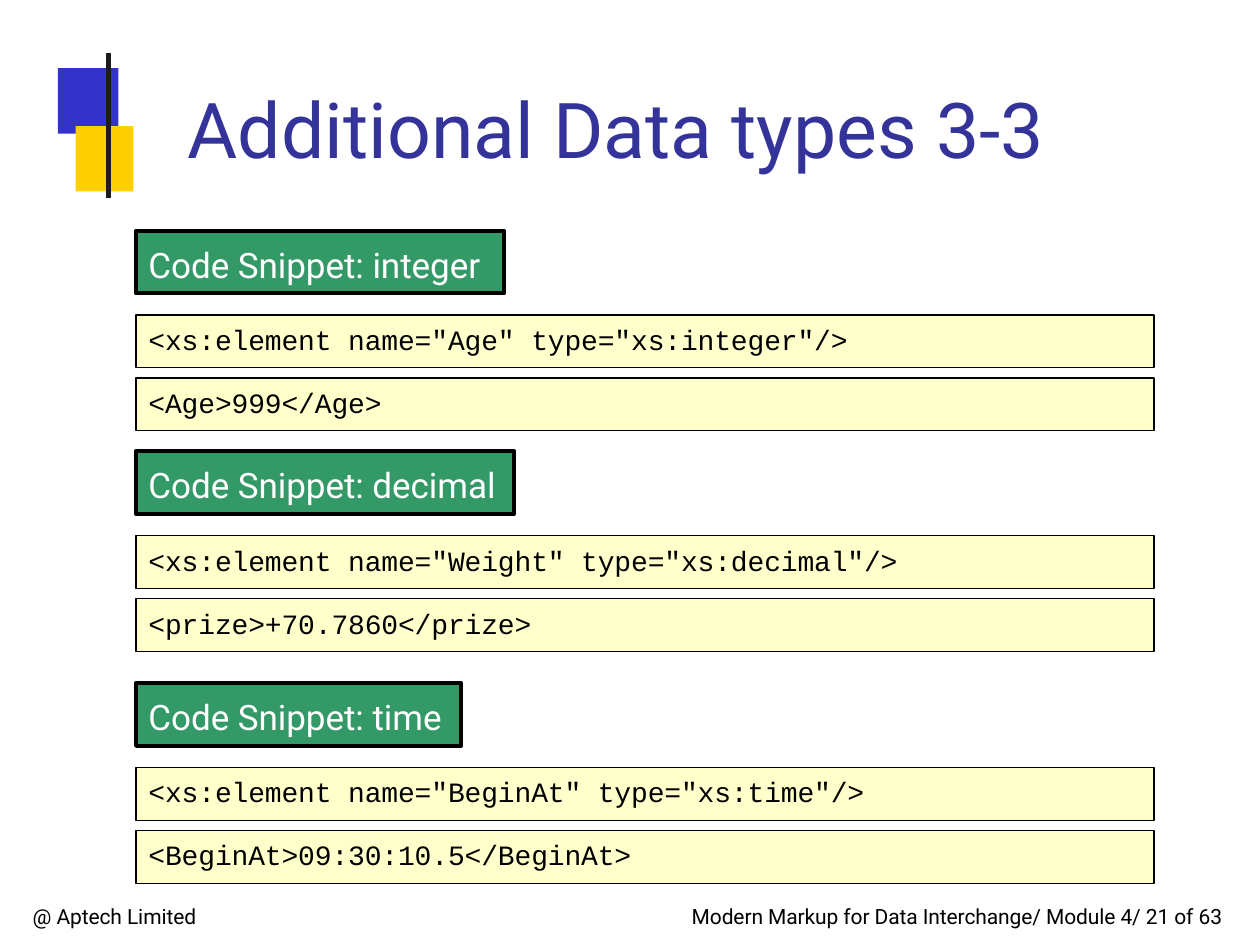
from pptx import Presentation
from pptx.dml.color import RGBColor
from pptx.enum.shapes import MSO_CONNECTOR, MSO_SHAPE
from pptx.enum.text import MSO_ANCHOR, PP_ALIGN
from pptx.oxml.ns import qn
from pptx.util import Inches, Pt
from lxml.etree import SubElement

# Content: heading, heading width, code lines
TITLE = "Additional Data types 3-3"
SNIPPETS = [
    ("integer", 2.92, ['<xs:element name="Age" type="xs:integer"/>',
                       "<Age>999</Age>"]),
    ("decimal", 3.0, ['<xs:element name="Weight" type="xs:decimal"/>',
                      "<prize>+70.7860</prize>"]),
    ("time", 2.58, ['<xs:element name="BeginAt" type="xs:time"/>',
                    "<BeginAt>09:30:10.5</BeginAt>"]),
]
FOOTERS = [
    ("@ Aptech Limited", 0.25, 1.32),
    ("Modern Markup for Data Interchange/ Module 4/ 21 of 63", 5.48, 4.29),
]

BLACK = RGBColor(0x00, 0x00, 0x00)
WHITE = RGBColor(0xFF, 0xFF, 0xFF)
INDIGO = RGBColor(0x33, 0x33, 0x99)
BLUE = RGBColor(0x33, 0x33, 0xCC)
YELLOW = RGBColor(0xFF, 0xCF, 0x01)
CHARCOAL = RGBColor(0x1C, 0x1C, 0x1C)
GREEN = RGBColor(0x33, 0x99, 0x66)
CREAM = RGBColor(0xFF, 0xFF, 0xCC)

# Layout in inches
LEFT, CODE_WIDTH = 1.08, 8.08
SECTION_TOPS = [1.83, 3.58, 5.42]
HEADING_HEIGHT, CODE_HEIGHT = 0.5, 0.42
CODE_OFFSET, CODE_PITCH = 0.67, 0.5
FOOTER_TOP, FOOTER_HEIGHT = 7.15, 0.23

presentation = Presentation()
presentation.slide_width, presentation.slide_height = Inches(10), Inches(7.5)
slide = presentation.slides.add_slide(presentation.slide_layouts[6])


def write(shape, text, size, color, font="Roboto",
          inset_left=0.01, inset_top=0.02, spacing=0):
    frame = shape.text_frame
    frame.word_wrap = False
    frame.vertical_anchor = MSO_ANCHOR.TOP
    frame.margin_left, frame.margin_top = Inches(inset_left), Inches(inset_top)
    frame.margin_right = frame.margin_bottom = 0
    paragraph = frame.paragraphs[0]
    paragraph.alignment = PP_ALIGN.LEFT
    run = paragraph.add_run()
    run.text = text
    run.font.size, run.font.name = Pt(size), font
    run.font.color.rgb = color
    if spacing:
        run._r.get_or_add_rPr().set("spc", str(spacing))


def add_text(text, left, top, width, height, size, color, **options):
    box = slide.shapes.add_textbox(*map(Inches, (left, top, width, height)))
    write(box, text, size, color, **options)


def add_box(left, top, width, height, fill, line_width=0):
    box = slide.shapes.add_shape(
        MSO_SHAPE.RECTANGLE, *map(Inches, (left, top, width, height)))
    box.shadow.inherit = False
    box.fill.solid()
    box.fill.fore_color.rgb = fill
    if line_width:
        box.line.color.rgb = BLACK
        box.line.width = Pt(line_width)
    else:
        box.line.fill.background()
    return box


# Corner ornament
add_box(0.46, 0.54, 0.48, 0.52, BLUE)
add_box(0.6, 1, 0.46, 0.52, YELLOW)
rule = slide.shapes.add_connector(
    MSO_CONNECTOR.STRAIGHT, *map(Inches, (0.86, 0.42, 0.86, 1.57)))
rule.line.color.rgb = CHARCOAL
rule.line.width = Pt(2.52)
SubElement(rule._element.spPr, qn("a:effectLst"))

# Title and footers
add_text(TITLE, 1.48, 0.62, 6.85, 0.76, 44, INDIGO, inset_top=0.03)
for text, left, width in FOOTERS:
    add_text(text, left, FOOTER_TOP, width, FOOTER_HEIGHT, 12, BLACK, spacing=-5)

# Snippet sections: a heading above its code lines
for section_top, (name, width, lines) in zip(SECTION_TOPS, SNIPPETS):
    heading = add_box(LEFT, section_top, width, HEADING_HEIGHT, GREEN, 2.28)
    write(heading, f"Code Snippet: {name}", 20, WHITE,
          inset_left=0.1, inset_top=0.1, spacing=-5)
    for row, line in enumerate(lines):
        code_top = section_top + CODE_OFFSET + row * CODE_PITCH
        code = add_box(LEFT, code_top, CODE_WIDTH, CODE_HEIGHT, CREAM, 0.72)
        write(code, line, 16, BLACK, font="Courier New",
              inset_left=0.1, inset_top=0.06, spacing=-5)

presentation.save("out.pptx")
